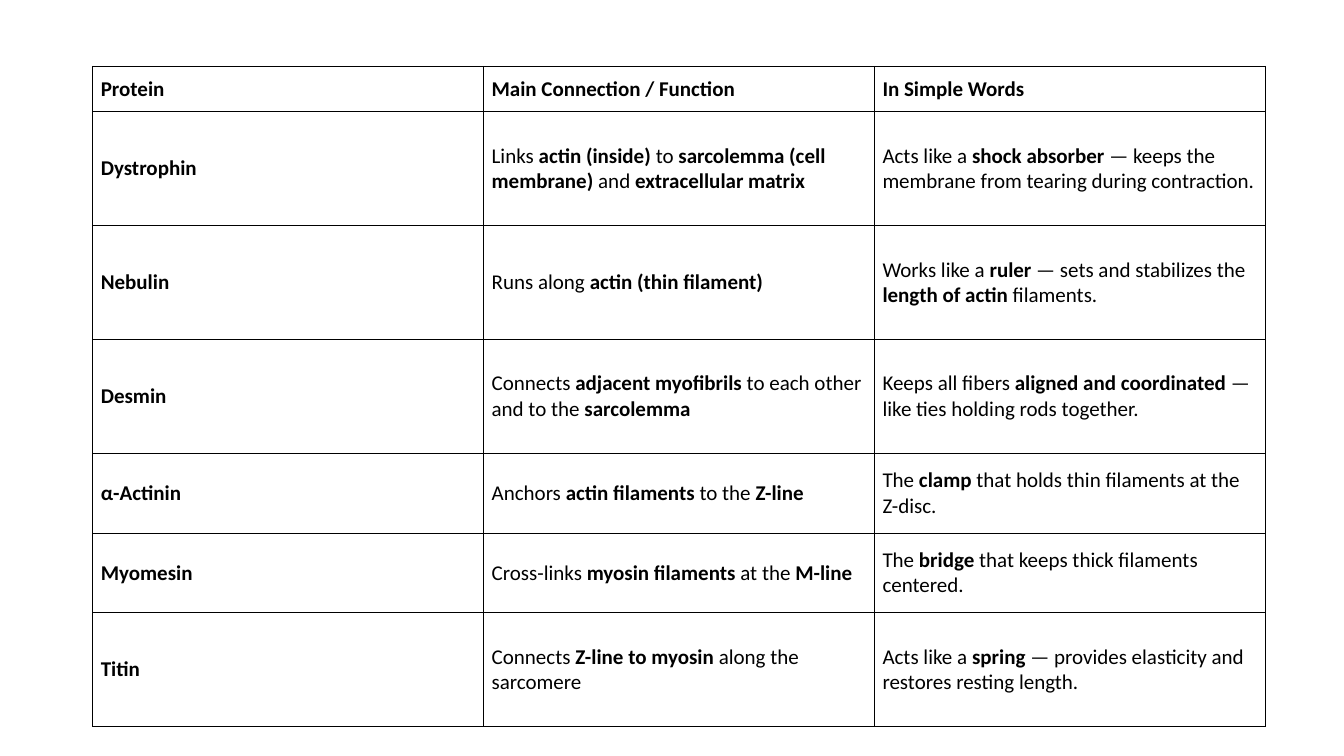
from lxml import etree
from pptx import Presentation, util as u
from pptx.dml.color import RGBColor
from pptx.enum import text
from pptx.oxml.ns import qn

# Asterisks enclose the bold parts of each cell.
PROTEINS = [
    ("*Protein*", "*Main Connection / Function*", "*In Simple Words*"),
    ("*Dystrophin*",
     "Links *actin (inside)* to *sarcolemma (cell membrane)* and *extracellular matrix*",
     "Acts like a *shock absorber* — keeps the membrane from tearing during contraction."),
    ("*Nebulin*", "Runs along *actin (thin filament)*",
     "Works like a *ruler* — sets and stabilizes the *length of actin* filaments."),
    ("*Desmin*", "Connects *adjacent myofibrils* to each other and to the *sarcolemma*",
     "Keeps all fibers *aligned and coordinated* — like ties holding rods together."),
    ("*α-Actinin*", "Anchors *actin filaments* to the *Z-line*",
     "The *clamp* that holds thin filaments at the Z-disc."),
    ("*Myomesin*", "Cross-links *myosin filaments* at the *M-line*",
     "The *bridge* that keeps thick filaments centered."),
    ("*Titin*", "Connects *Z-line to myosin* along the sarcomere",
     "Acts like a *spring* — provides elasticity and restores resting length."),
]
HEADER, SHORT, TALL = 0.45, 0.79, 1.13
ROW_HEIGHTS = [HEADER, TALL, TALL, TALL, SHORT, SHORT, TALL]
LEFT, TOP, TABLE_WIDTH = 0.92, 0.66, 11.63
INK = "000000"
FONT = {"name": "Calibri", "size": u.Pt(15)}
CELL = {
    "vertical_anchor": text.MSO_ANCHOR.MIDDLE,
    "margin_left": u.Inches(0.08), "margin_right": u.Inches(0.08),
    "margin_top": u.Inches(0.04), "margin_bottom": u.Inches(0.04),
}


def color(value):
    return RGBColor.from_string(value)


def apply(target, values):
    for name, value in values.items():
        setattr(target, name, value)


def add_borders(cell):
    properties = cell._tc.get_or_add_tcPr()
    for side in ("lnL", "lnR", "lnT", "lnB"):
        line = etree.SubElement(properties, qn(f"a:{side}"), w=str(u.Pt(1)))
        fill = etree.SubElement(line, qn("a:solidFill"))
        etree.SubElement(fill, qn("a:srgbClr"), val=INK)


def write_cell(cell, content):
    apply(cell, CELL)
    add_borders(cell)
    cell.fill.background()
    para = cell.text_frame.paragraphs[0]
    for index, part in enumerate(content.split("*")):
        if part:
            span = para.add_run()
            span.text = part
            apply(span.font, {**FONT, "bold": index % 2 == 1})
            span.font.color.rgb = color(INK)


def main():
    deck = Presentation()
    deck.slide_width, deck.slide_height = u.Inches(13.33), u.Inches(7.5)
    page = deck.slides.add_slide(deck.slide_layouts[6])
    table = page.shapes.add_table(
        len(PROTEINS), len(PROTEINS[0]), u.Inches(LEFT), u.Inches(TOP),
        u.Inches(TABLE_WIDTH), u.Inches(sum(ROW_HEIGHTS))).table
    apply(table, {"first_row": False, "horz_banding": False})
    for row, height, contents in zip(table.rows, ROW_HEIGHTS, PROTEINS):
        row.height = u.Inches(height)
        for cell, content in zip(row.cells, contents):
            write_cell(cell, content)
    deck.save("out.pptx")


if __name__ == "__main__":
    main()
